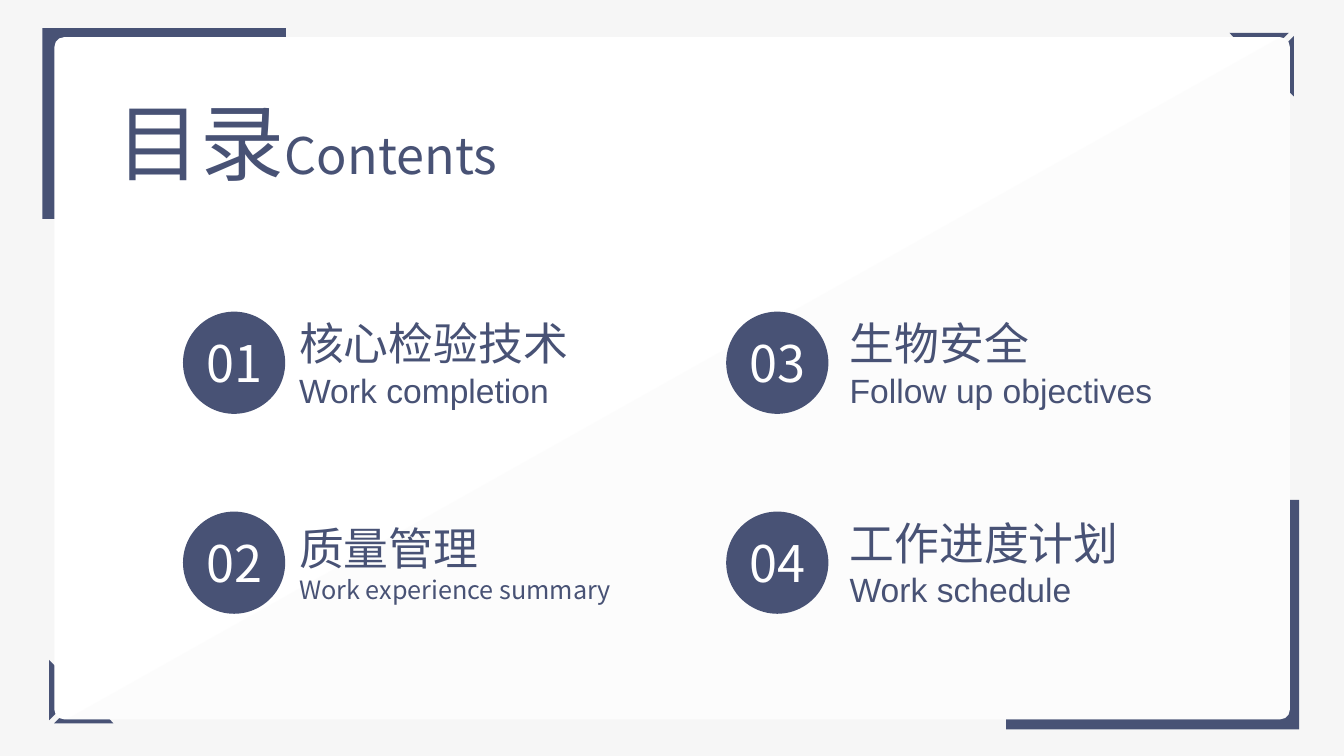
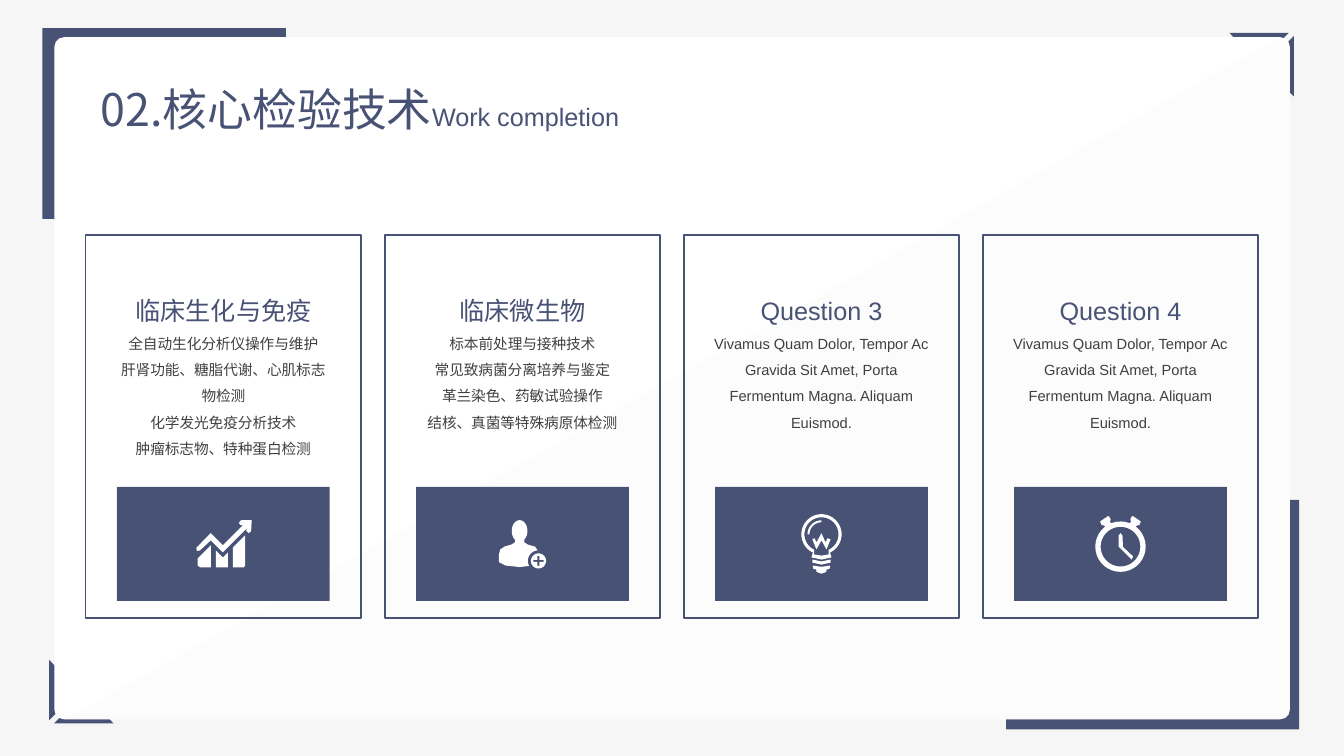
import dataclasses
import math

import lxml.etree
import pptx
import pptx.dml.color
import pptx.enum.shapes
import pptx.enum.text
import pptx.oxml.ns
import pptx.util

Pt = pptx.util.Pt
SHAPES = pptx.enum.shapes.MSO_SHAPE
ANCHOR = pptx.enum.text.MSO_ANCHOR
ALIGN = pptx.enum.text.PP_ALIGN
UNITS_PER_POINT = 100


@dataclasses.dataclass(frozen=True)
class Theme:
    navy: str = "485275"
    white: str = "FFFFFF"
    background: str = "F6F6F6"
    shade: str = "F2F2F2"
    body_color: str = "404040"
    chinese_font: str = "Noto Sans CJK SC"
    latin_font: str = "Arial"
    display: float = 60
    number: float = 36
    heading: float = 32
    caption: float = 24
    label: float = 18
    body: float = 10.5


THEME = Theme()

CONTENTS = (
    ("01", "核心检验技术", "Work completion", THEME.caption, THEME.latin_font),
    ("02", "质量管理", "Work experience summary", THEME.label, THEME.chinese_font),
    ("03", "生物安全", "Follow up objectives", THEME.caption, THEME.latin_font),
    ("04", "工作进度计划", "Work schedule", THEME.caption, THEME.latin_font),
)

PLACEHOLDER_BODY = (
    "Vivamus Quam Dolor, Tempor Ac Gravida Sit Amet, Porta Fermentum Magna. Aliquam Euismod."
)


def rgb(color):
    return pptx.dml.color.RGBColor.from_string(color)


def paint(shape, fill=None, line=None):
    shape.shadow.inherit = False
    if fill:
        shape.fill.solid()
        shape.fill.fore_color.rgb = rgb(fill)
    else:
        shape.fill.background()
    if line:
        shape.line.color.rgb = rgb(line)
        shape.line.width = Pt(1)
    else:
        shape.line.fill.background()
    return shape


def add_box(slide, kind, box, fill=None, line=None):
    shape = slide.shapes.add_shape(kind, *(Pt(length) for length in box))
    return paint(shape, fill, line)


def add_outline(slide, contours, fill, center=(0, 0)):
    scaled = [
        [(round(x * UNITS_PER_POINT), round(y * UNITS_PER_POINT)) for x, y in contour]
        for contour in contours
    ]
    builder = slide.shapes.build_freeform(*scaled[0][0], scale=Pt(1) / UNITS_PER_POINT)
    for index, contour in enumerate(scaled):
        if index:
            builder.move_to(*contour[0])
        builder.add_line_segments(contour[1:], close=True)
    return paint(builder.convert_to_shape(*(Pt(value) for value in center)), fill)


def arc(x, y, radius, start=0, end=360, radius_y=None):
    steps = max(4, round(abs(end - start) / 10))
    angles = [math.radians(start + (end - start) * step / steps) for step in range(steps + 1)]
    return [
        (x + radius * math.cos(angle), y + (radius_y or radius) * math.sin(angle))
        for angle in angles
    ]


def style_run(run, size, font, color):
    run.font.size = Pt(size)
    run.font.name = font
    run.font.color.rgb = rgb(color)
    east_asian = lxml.etree.Element(pptx.oxml.ns.qn("a:ea"), typeface=THEME.chinese_font)
    run.font._element.find(pptx.oxml.ns.qn("a:latin")).addnext(east_asian)


def write(shape, paragraphs, align=ALIGN.LEFT, anchor=ANCHOR.TOP, wrap=False, spacing=None):
    frame = shape.text_frame
    frame.word_wrap = wrap
    frame.vertical_anchor = anchor
    for index, spans in enumerate(paragraphs):
        paragraph = frame.add_paragraph() if index else frame.paragraphs[0]
        paragraph.alignment = align
        if spacing:
            paragraph.line_spacing = spacing
        for position, (text, size, font, color) in enumerate(spans):
            if position:
                run = paragraph.add_run()
                run.text = text
                style_run(run, size, font, color)
            else:
                paragraph.text = text
                for run in paragraph.runs:
                    style_run(run, size, font, color)
                for line_break in paragraph._p.findall(pptx.oxml.ns.qn("a:br")):
                    properties = lxml.etree.SubElement(line_break, pptx.oxml.ns.qn("a:rPr"))
                    properties.set("sz", str(round(size * 100)))


def add_text(slide, box, paragraphs, **options):
    shape = slide.shapes.add_textbox(*(Pt(length) for length in box))
    write(shape, paragraphs, **options)


def add_corner_tick(slide, corner, direction):
    pieces = (
        ((0, -2.2), (0, -45.4), (10.8, -34.6), (10.8, -13)),
        ((3.6, 0), (46, 0), (36, -10.8), (14.4, -10.8)),
    )
    turned = [[(direction * x, direction * y) for x, y in piece] for piece in pieces]
    add_outline(slide, turned, THEME.navy, corner)


def add_frame(slide):
    left, top, width, height = panel = (38.9, 26.6, 882.4, 487.2)
    radius = 6.8
    right, bottom = left + width, top + height
    slide.background.fill.solid()
    slide.background.fill.fore_color.rgb = rgb(THEME.background)
    add_box(slide, SHAPES.RECTANGLE, (30.3, 20.1, 174, 136.3), THEME.navy)
    add_box(slide, SHAPES.RECTANGLE, (718.6, 357.1, 209.4, 164), THEME.navy)
    add_corner_tick(slide, (35, 516.7), 1)
    add_corner_tick(slide, (924.2, 23.5), -1)
    card = add_box(slide, SHAPES.ROUNDED_RECTANGLE, panel, THEME.white)
    card.adjustments[0] = radius / height
    outline = (
        arc(right - radius, top + radius, radius, -90, 0)
        + arc(right - radius, bottom - radius, radius, 0, 90)
        + [(left + 8.6, bottom)]
    )
    shade = add_outline(slide, [outline], THEME.shade)
    color = shade.fill._xPr.find(".//" + pptx.oxml.ns.qn("a:srgbClr"))
    lxml.etree.SubElement(color, pptx.oxml.ns.qn("a:alpha"), val="16000")


def add_entry(slide, left, top, caption_left, entry):
    number, heading, caption, caption_size, caption_font = entry
    diameter, caption_height = 73, 75
    circle = add_box(slide, SHAPES.OVAL, (left, top, diameter, diameter), THEME.navy)
    write(
        circle,
        [[(number, THEME.number, THEME.chinese_font, THEME.white)]],
        align=ALIGN.CENTER,
        anchor=ANCHOR.MIDDLE,
    )
    add_text(
        slide,
        (caption_left, top + (diameter - caption_height) / 2, 248, caption_height),
        [
            [(heading, THEME.heading, THEME.chinese_font, THEME.navy)],
            [(caption, caption_size, caption_font, THEME.navy)],
        ],
        anchor=ANCHOR.MIDDLE,
    )


def build_contents(slide):
    add_frame(slide)
    columns = ((130.7, 206.6), (518.7, 599.8))
    rows = (222.6, 365.4)
    for index, entry in enumerate(CONTENTS):
        column, row = divmod(index, len(rows))
        left, caption_left = columns[column]
        add_entry(slide, left, rows[row], caption_left, entry)
    add_text(
        slide,
        (76.3, 61, 324, 80),
        [[
            ("目录", THEME.display, THEME.chinese_font, THEME.navy),
            ("Contents", THEME.number, THEME.chinese_font, THEME.navy),
        ]],
        wrap=True,
    )


def chart_icon():
    return [
        [(-18.4, 10.4), (-9, 1.1), (-9, 16.9), (-16.5, 16.9), (-18.4, 15.5)],
        [(-5.4, 4.7), (-0.4, 9.7), (3.2, 6.1), (3.2, 16.9), (-5.4, 16.9)],
        [(6.8, 2.5), (15.5, -6.1), (15.5, 15.5), (14.5, 16.9), (6.8, 16.9)],
        [
            (12.6, -16.9), (20.2, -16.9), (19.8, -9), (18, -7.6), (16.2, -9.5),
            (16.9, -11.2), (-0.4, 6.1), (-9, -2.5), (-17, 4.9), (-19, 5),
            (-19.4, 2.8), (-9, -7.6), (-0.4, 1.1), (14, -13.3), (12.2, -13.3),
            (11, -15),
        ],
    ]


def person_icon():
    badge_x, badge_y, arm, half = 11.5, 12.2, 3.6, 0.7
    body = (
        arc(-2, -9.2, 5.6, 125, 415, radius_y=7.7)
        + [(1.5, -1), (4, 0.6), (9, 2), (11, 4.7)]
        + arc(badge_x, badge_y, 7.6, 270, 152)
        + [(-2, 16.6), (-12, 15.5), (-16.9, 13), (-16.9, 8), (-15.8, 4), (-12.5, 1.8), (-8, 0.6), (-5.4, -1)]
    )
    plus = [
        (-arm, -half), (-half, -half), (-half, -arm), (half, -arm),
        (half, -half), (arm, -half), (arm, half), (half, half),
        (half, arm), (-half, arm), (-half, half), (-arm, half),
    ]
    return [
        body,
        arc(badge_x, badge_y, 5.4),
        [(badge_x + x, badge_y + y) for x, y in plus],
    ]


def bulb_icon():
    middle = -6.8
    return [
        arc(0, middle, 14.4, 115, 425) + [(7.2, 9.7), (0, 11.2), (-7.2, 9.7)],
        arc(0, middle, 12.2, 115, 425) + [(5.2, 7.6), (0, 8.4), (-5.2, 7.6)],
        arc(0, middle, 10, 180, 270) + arc(0, middle, 8.6, 270, 180),
        [
            (2.9, -1.1), (0, -7.6), (-3.6, -1.1), (-5, -4), (-6.5, -3.2),
            (-3.6, 4), (0, -2.5), (3.6, 4), (6.5, -3.2), (4.3, -4),
        ],
        [(-6.5, 11.2), (0, 12.6), (6.5, 11.2), (6.5, 13.4), (0, 14.8), (-6.5, 13.4)],
        [
            (-6.3, 15.5), (0, 16.4), (6.3, 15.5), (5.8, 17.8), (3.6, 18.4),
            (3.6, 20), (0, 21.3), (-3.6, 20), (-3.6, 18.4), (-5.8, 17.8),
        ],
    ]


def clock_icon():
    bell = [
        (6.8, -14.7), (7.6, -16), (7, -17.3), (8, -19.5), (9, -19.8),
        (14.5, -16), (13.5, -13.4), (12, -13.2), (10.8, -12.5),
    ]
    hands = [
        (-1.4, -6), (0, -7.6), (1.4, -6), (1.8, 2.2),
        (9, 9), (8, 11.2), (0.4, 3.6), (-1.4, 2),
    ]
    return [arc(0, 2, 18), arc(0, 2, 14.2), hands, bell, [(-x, y) for x, y in bell]]


def add_topic_card(slide, box, heading, body, icon):
    left, top, width, height = box
    band_width, band_height, band_top = 152, 81.4, top + 180
    add_box(slide, SHAPES.RECTANGLE, box, line=THEME.navy)
    band_left = left + (width - band_width) / 2
    add_box(slide, SHAPES.RECTANGLE, (band_left, band_top, band_width, band_height), THEME.navy)
    add_text(
        slide,
        (left + 14.4, top + 28.8, width - 28.8, 116.6),
        [
            [(heading, THEME.label, THEME.latin_font, THEME.navy)],
            [(body, THEME.body, THEME.latin_font, THEME.body_color)],
        ],
        align=ALIGN.CENTER,
        wrap=True,
        spacing=1.5,
    )
    add_outline(slide, icon, THEME.white, (left + width / 2, band_top + band_height / 2))


def build_topics(slide):
    add_frame(slide)
    add_text(
        slide,
        (64.8, 54.7, 520, 46),
        [[
            ("02.核心检验技术", THEME.heading, THEME.chinese_font, THEME.navy),
            ("Work completion", THEME.label, THEME.latin_font, THEME.navy),
        ]],
        wrap=True,
    )
    topics = (
        ("临床生化与免疫", "全自动生化分析仪操作与维护\n肝肾功能、糖脂代谢、心肌标志物检测\n化学发光免疫分析技术\n肿瘤标志物、特种蛋白检测", chart_icon()),
        ("临床微生物", "标本前处理与接种技术\n常见致病菌分离培养与鉴定\n革兰染色、药敏试验操作\n结核、真菌等特殊病原体检测", person_icon()),
        ("Question 3", PLACEHOLDER_BODY, bulb_icon()),
        ("Question 4", PLACEHOLDER_BODY, clock_icon()),
    )
    for index, topic in enumerate(topics):
        add_topic_card(slide, (61.3 + index * 213.6, 167.8, 196.6, 273.6), *topic)


def main():
    presentation = pptx.Presentation()
    presentation.slide_width, presentation.slide_height = Pt(960), Pt(540)
    for build in (build_contents, build_topics):
        build(presentation.slides.add_slide(presentation.slide_layouts[6]))
    presentation.save("out.pptx")


if __name__ == "__main__":
    main()
